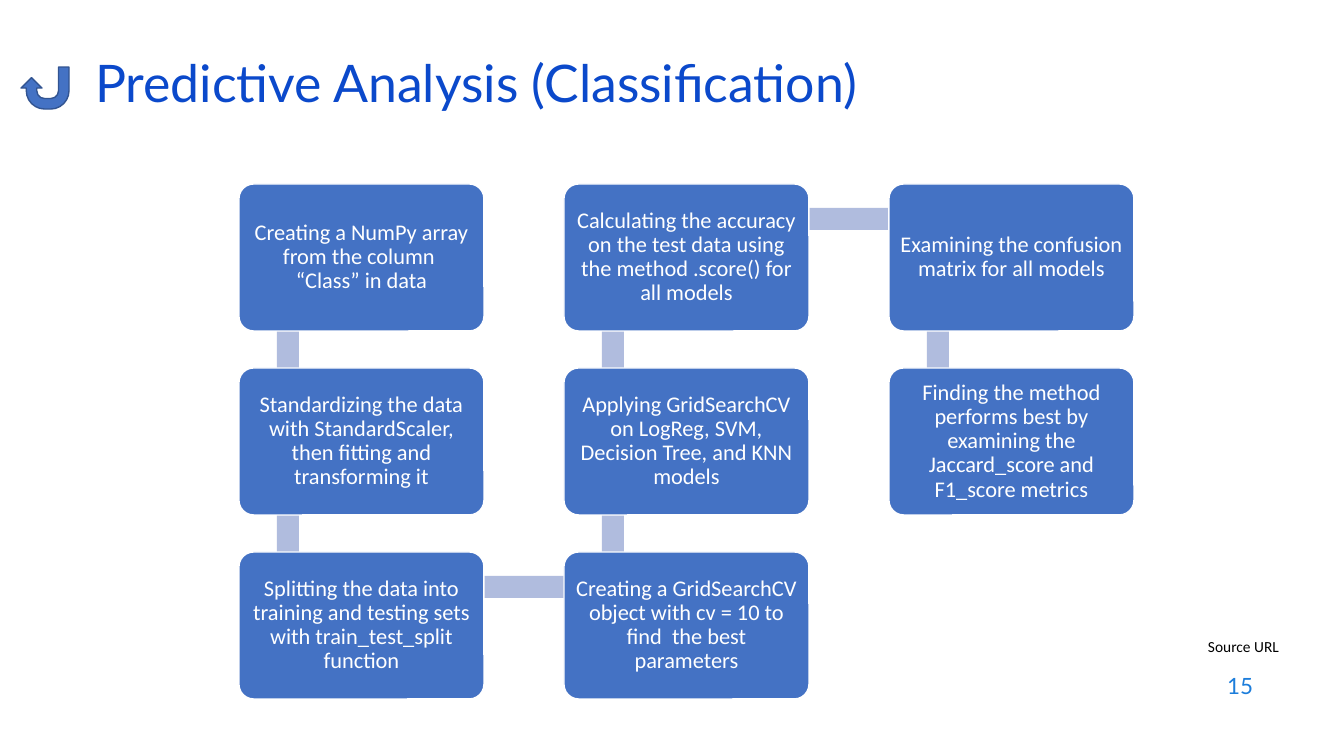
from pptx import Presentation
from pptx.dml.color import RGBColor
from pptx.enum.shapes import MSO_SHAPE
from pptx.enum.text import MSO_ANCHOR, MSO_AUTO_SIZE, PP_ALIGN
from pptx.util import Pt

TITLE = "Predictive Analysis (Classification)"
STEPS = [
    "Creating a NumPy array from the column  “Class” in data",
    "Standardizing the data with StandardScaler, then fitting and transforming it",
    "Splitting the data into training and testing sets with train_test_split function",
    "Creating a GridSearchCV object with cv = 10 to find  the best parameters",
    "Applying GridSearchCV on LogReg, SVM, Decision Tree, and KNN models",
    "Calculating the accuracy on the test data using the method .score() for all models",
    "Examining the confusion matrix for all models",
    "Finding the method performs best by examining the Jaccard_score and F1_score metrics",
]
LINK_LABEL = "Source URL"
PAGE_NUMBER = "15"

PAGE_WIDTH, PAGE_HEIGHT = 1344, 756
EMU_PER_PX = 12192000 / PAGE_WIDTH
GRID_LEFT, GRID_TOP = 239, 184
STEP_WIDTH, STEP_HEIGHT = 245, 147
PITCH_X, PITCH_Y = 325, 184
ROWS = 3
BAR_X, BAR_Y, BAR_SIZE = 49, 35, 22
STEP_INSET = 7

RECTANGLE = MSO_SHAPE.RECTANGLE
ROUNDED = MSO_SHAPE.ROUNDED_RECTANGLE
U_TURN = MSO_SHAPE.U_TURN_ARROW
MIDDLE, TOP = MSO_ANCHOR.MIDDLE, MSO_ANCHOR.TOP
LEFT, CENTER, RIGHT = PP_ALIGN.LEFT, PP_ALIGN.CENTER, PP_ALIGN.RIGHT
NO_FIT = MSO_AUTO_SIZE.NONE


def px(length):
    return round(length * EMU_PER_PX)


def color(value):
    return RGBColor.from_string(value)


def place(*lengths):
    return [px(length) for length in lengths]


def add_block(page, kind, bounds, fill, line=None):
    block = page.shapes.add_shape(kind, *place(*bounds))
    block.shadow.inherit = False
    block.fill.solid()
    block.fill.fore_color.rgb = color(fill)
    if line:
        block.line.color.rgb = color(line)
        block.line.width = Pt(1)
    else:
        block.line.fill.background()
    return block


def write(box, text, size, font, ink, align, anchor=MIDDLE, spacing=None):
    frame = box.text_frame
    frame.word_wrap = True
    frame.auto_size = NO_FIT
    frame.vertical_anchor = anchor
    para = frame.paragraphs[0]
    para.text = text
    para.alignment = align
    para.line_spacing = spacing
    para.font.size = Pt(size)
    para.font.name = font
    para.font.color.rgb = color(ink)
    return frame


def step_corner(index):
    column, row = divmod(index, ROWS)
    if column % 2:
        row = ROWS - 1 - row
    return GRID_LEFT + column * PITCH_X, GRID_TOP + row * PITCH_Y


def add_bar(page, start, end):
    left, right = sorted([start[0], end[0]])
    top, bottom = sorted([start[1], end[1]])
    width = max(right - left, BAR_SIZE)
    height = max(bottom - top, BAR_SIZE)
    nudge = BAR_SIZE // 2
    x = left + BAR_X - (nudge if left == right else 0)
    y = top + BAR_Y - (nudge if top == bottom else 0)
    add_block(page, RECTANGLE, (x, y, width, height), "B0BCDE")


def add_step(page, text, corner):
    box = add_block(page, ROUNDED, (*corner, STEP_WIDTH, STEP_HEIGHT), "4472C4", "FFFFFF")
    box.adjustments[0] = 0.1
    frame = write(box, text, 16, "Calibri", "FFFFFF", CENTER, spacing=0.9)
    frame.margin_left = frame.margin_right = px(STEP_INSET)
    frame.margin_top = frame.margin_bottom = px(STEP_INSET)


def main():
    deck = Presentation()
    deck.slide_width, deck.slide_height = place(PAGE_WIDTH, PAGE_HEIGHT)
    page = deck.slides.add_slide(deck.slide_layouts[5])

    title = page.shapes.title
    title.left, title.top, title.width, title.height = place(85, 59, 1159, 60)
    write(title, TITLE, 37, "Lato", "0B49CB", LEFT, spacing=0.7)

    arrow = add_block(page, U_TURN, (21, 67, 48, 42), "4472C4", "325491")
    arrow.rotation = 180

    corners = [step_corner(index) for index in range(len(STEPS))]
    for start, end in zip(corners, corners[1:]):
        add_bar(page, start, end)
    for text, corner in zip(STEPS, corners):
        add_step(page, text, corner)

    label = page.shapes.add_textbox(*place(1183, 632, 121, 29))
    write(label, LINK_LABEL, 11, "Calibri", "000000", CENTER, TOP)
    number = page.shapes.add_textbox(*place(961, 664, 302, 44))
    write(number, PAGE_NUMBER, 16, "Lato", "1C7DDB", RIGHT)

    deck.save("out.pptx")


if __name__ == "__main__":
    main()
